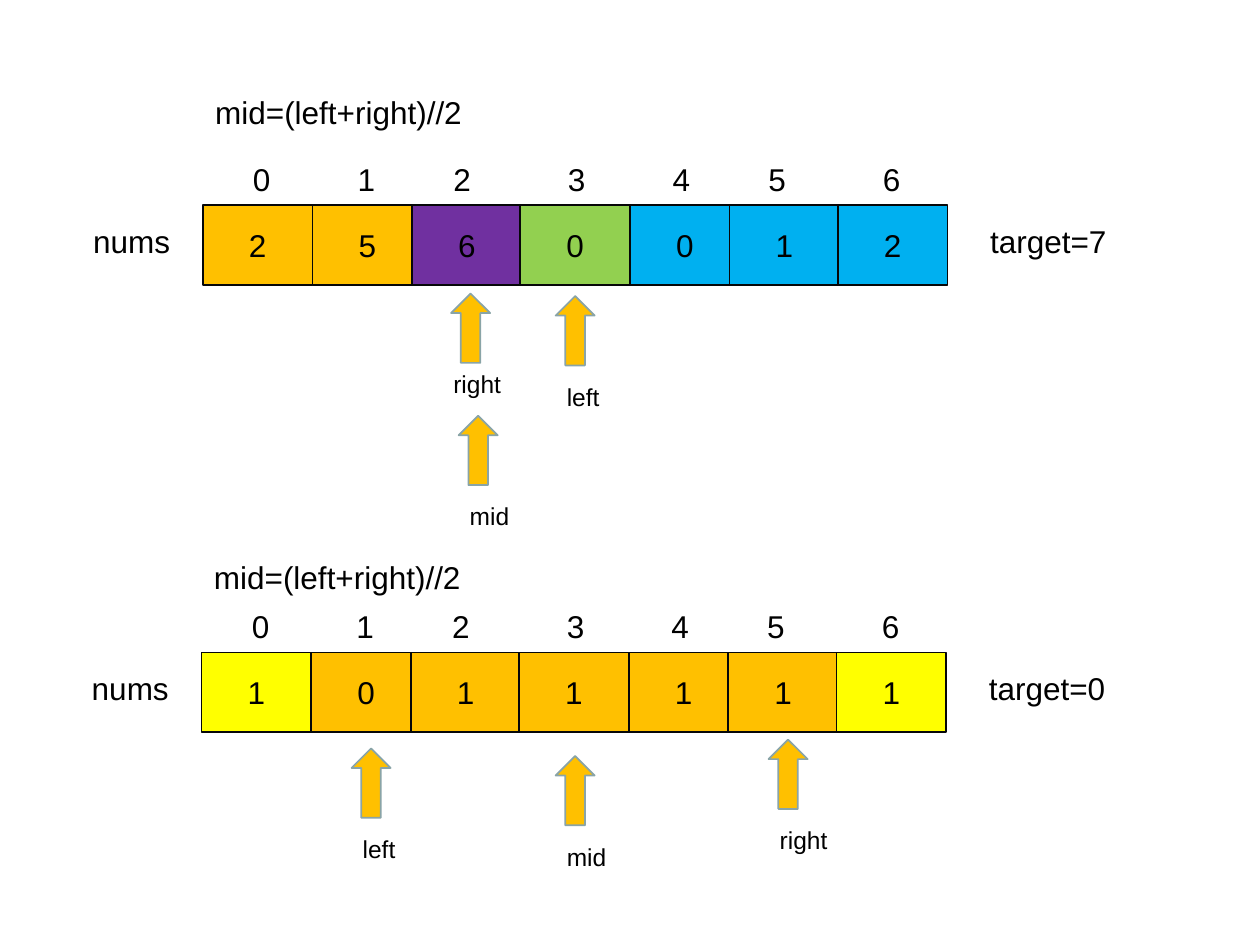
from dataclasses import dataclass
from itertools import accumulate

import pptx
import pptx.dml.color
import pptx.enum.shapes
import pptx.enum.text
import pptx.util
from lxml import etree
from pptx.oxml.ns import qn
from pptx.util import Inches


@dataclass(frozen=True)
class Theme:
    font: str = "Arial"
    body: int = 18
    label: int = 14
    text: str = "000000"
    cell_line: str = "060708"
    arrow_line: str = "89A4A7"
    orange: str = "FFC000"
    purple: str = "7030A0"
    green: str = "92D050"
    blue: str = "00B0F0"
    yellow: str = "FFFF00"


THEME = Theme()
CELL_W, CELL_H = 0.87, 0.63
# The third and sixth cells overlap the cell before them.
CELL_LEFTS = list(accumulate([0, 0.87, 0.79, 0.86, 0.87, 0.79, 0.86]))
INDEX_TABS = [0.83, 1.59, 2.5, 3.33, 4.09, 5.0]


def rgb(value):
    return pptx.dml.color.RGBColor.from_string(value)


def write(sp, text, size):
    tf = sp.text_frame
    tf.word_wrap = True
    tf.text = text
    p = tf.paragraphs[0]
    for r in p.runs:
        r.font.name = THEME.font
        r.font.size = pptx.util.Pt(size)
        r.font.color.rgb = rgb(THEME.text)
    return p


def add_text(s, x, y, w, h, text, size=THEME.body):
    sp = s.shapes.add_textbox(Inches(x), Inches(y), Inches(w), Inches(h))
    return write(sp, text, size)


def add_filled(s, kind, x, y, w, h, fill, line):
    sp = s.shapes.add_shape(kind, Inches(x), Inches(y), Inches(w), Inches(h))
    sp.shadow.inherit = False
    sp.fill.solid()
    sp.fill.fore_color.rgb = rgb(fill)
    sp.line.color.rgb = rgb(line)
    sp.line.width = pptx.util.Pt(1)
    return sp


def add_indices(s, x, y):
    """Number the cells in one line, spaced by tab stops."""
    p = add_text(s, x, y, 5.6, 0.7, "\t".join(map(str, range(len(CELL_LEFTS)))))
    tabs = etree.SubElement(p._p.get_or_add_pPr(), qn("a:tabLst"))
    for pos in INDEX_TABS:
        etree.SubElement(tabs, qn("a:tab"), pos=str(Inches(pos)), algn="l")


def add_array(s, x, y, values, fills, target):
    """Place the cells with their top left at x, y, and the captions around them."""
    add_text(s, x + 6.15, y + 0.08, 1.23, 0.4, f"target={target}")
    for left, value, fill in zip(CELL_LEFTS, values, fills):
        sp = add_filled(s, pptx.enum.shapes.MSO_SHAPE.RECTANGLE,
                        x + left, y, CELL_W, CELL_H, fill, THEME.cell_line)
        sp.text_frame.vertical_anchor = pptx.enum.text.MSO_ANCHOR.MIDDLE
        p = write(sp, str(value), THEME.body)
        p.alignment = pptx.enum.text.PP_ALIGN.CENTER
    add_text(s, x - 0.97, y + 0.08, 0.9, 0.4, "nums")
    add_indices(s, x + 0.3, y - 0.41)


def add_pointer(s, x, y, name, label_dx=-0.01, label_dy=0.63):
    add_filled(s, pptx.enum.shapes.MSO_SHAPE.UP_ARROW,
               x, y, 0.31, 0.55, THEME.orange, THEME.arrow_line)
    add_text(s, x + label_dx, y + label_dy, 0.6, 0.34, name, THEME.label)


def add_search(s, x, y, formula_dy, values, fills, target, pointers):
    """Draw one search step; pointer offsets are relative to the array."""
    add_array(s, x, y, values, fills, target)
    add_text(s, x, y + formula_dy, 3.33, 0.4, "mid=(left+right)//2")
    for dx, dy, *label in pointers:
        add_pointer(s, x + dx, y + dy, *label)


def main():
    prs = pptx.Presentation()
    prs.slide_width, prs.slide_height = Inches(10), Inches(7.5)
    s = prs.slides.add_slide(prs.slide_layouts[6])
    t = THEME
    add_search(s, 1.61, 1.63, -0.94, [2, 5, 6, 0, 0, 1, 2],
               [t.orange] * 2 + [t.purple, t.green] + [t.blue] * 3, 7,
               [(1.97, 0.7, "right", -0.08, 0.55),
                (2.8, 0.72, "left"),
                (2.03, 1.67, "mid")])
    add_search(s, 1.6, 5.18, -0.8, [1, 0, 1, 1, 1, 1, 1],
               [t.yellow] + [t.orange] * 5 + [t.yellow], 0,
               [(4.5, 0.69, "right"),
                (1.19, 0.76, "left"),
                (2.81, 0.82, "mid")])
    prs.save("out.pptx")


if __name__ == "__main__":
    main()
